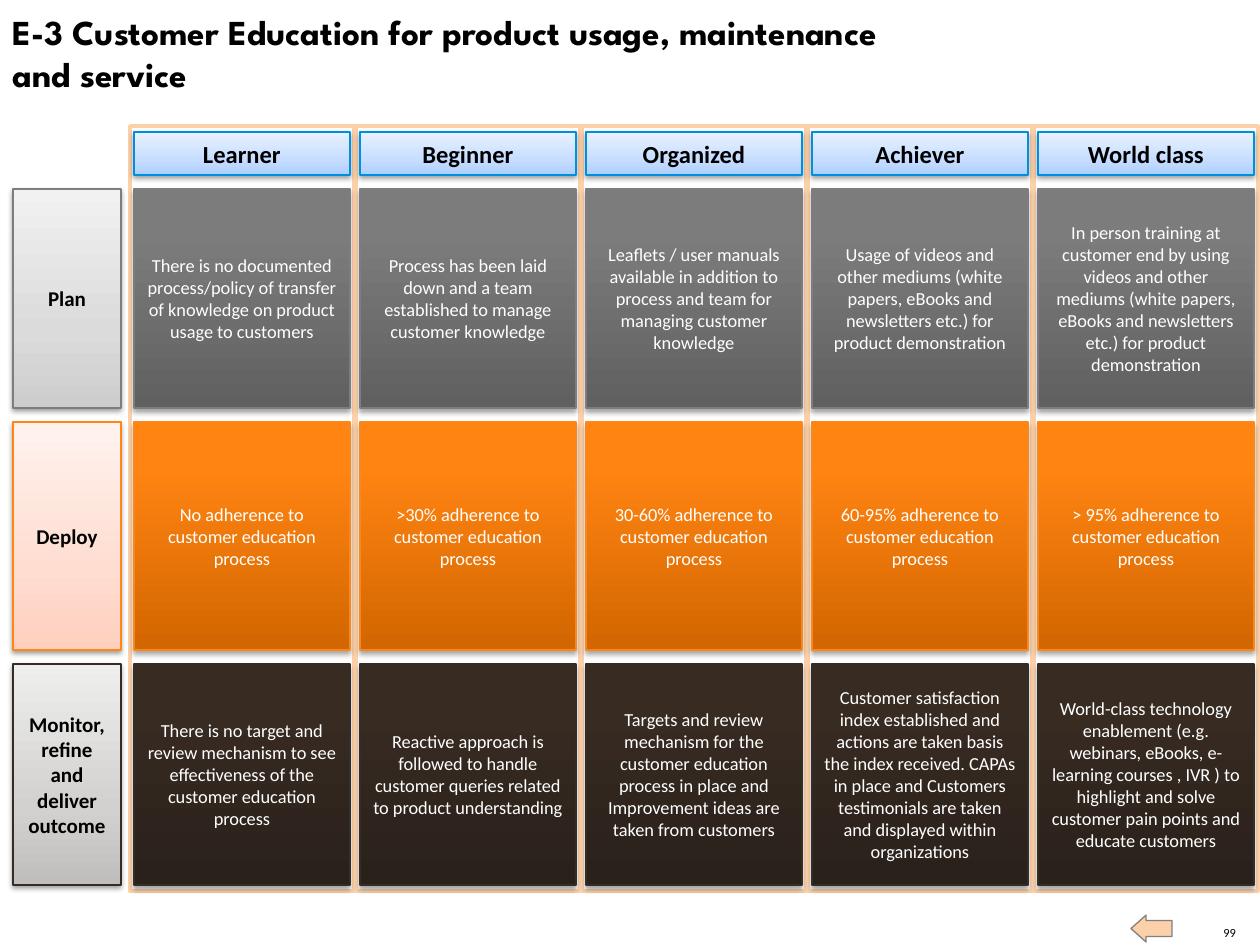
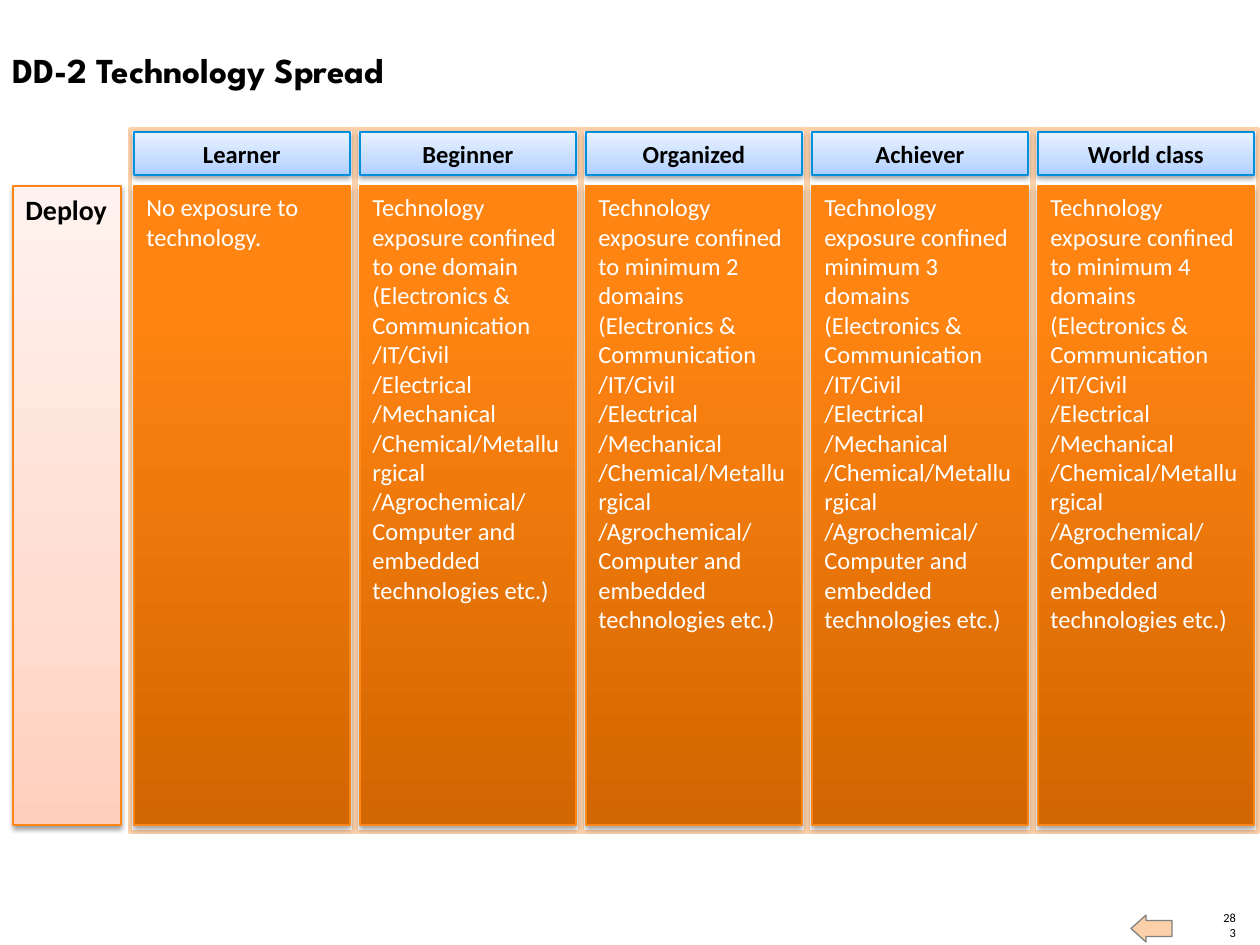
import copy
from dataclasses import dataclass

import lxml.etree
import pptx
import pptx.dml.color
import pptx.enum.shapes
import pptx.enum.text
import pptx.oxml.ns
import pptx.util

EMU_PER_PX = 914400 / 126
PX_PER_INCH = 126

# Shared look
BODY_FONT = "Calibri"
TITLE_FONT = "League Spartan"
BLACK, WHITE, PEACH, GREY = "000000", "FFFFFF", "FCD1AA", "808080"

# Shared column grid
LEVELS = ["Learner", "Beginner", "Organized", "Achiever", "World class"]
COLUMN_PITCH = 226
FRAME_LEFT, FRAME_WIDTH = 130, 224
CARD_LEFT, CARD_WIDTH = 134, 216
LABEL_LEFT, LABEL_WIDTH = 13, 108
HEADER_TOP, HEADER_HEIGHT = 132, 43

Shape = pptx.enum.shapes.MSO_SHAPE
Align = pptx.enum.text.PP_ALIGN
Anchor = pptx.enum.text.MSO_ANCHOR


@dataclass(frozen=True)
class Box:
    left: int
    top: int
    width: int
    height: int


@dataclass(frozen=True)
class TextStyle:
    size: float
    color: str = BLACK
    bold: bool = False
    font: str = BODY_FONT
    align: Align = Align.CENTER
    anchor: Anchor = Anchor.MIDDLE


@dataclass(frozen=True)
class Tile:
    stops: tuple[tuple[int, str], ...]
    line: str
    shadow_alpha: int
    shadow_distance: float


@dataclass(frozen=True)
class Stage:
    name: str
    top: int
    height: int
    label_tile: Tile
    card_tile: Tile
    cards: list[str]


@dataclass(frozen=True)
class MatrixSlide:
    title: str
    title_box: Box
    page: str
    frame_top: int
    frame_height: int
    label_style: TextStyle
    card_style: TextStyle
    stages: list[Stage]


def pale_tile(low: str, middle: str, high: str, line: str) -> Tile:
    return Tile(((0, low), (35, middle), (100, high)), line, 38, 1.6)


def strong_tile(low: str, middle: str, high: str, line: str) -> Tile:
    return Tile(((0, low), (80, middle), (100, high)), line, 35, 1.8)


HEADER_TILE = pale_tile("AECFFF", "C6DDFF", "E9F2FF", "008FDC")
PLAN_TILES = (pale_tile("CDCDCD", "DBDBDB", "F1F1F1", "7D7D7D"),
              strong_tile("606060", "7C7C7C", "7D7D7D", "7D7D7D"))
DEPLOY_TILES = (pale_tile("FFCFBD", "FFDDD1", "FFF2EE", "FF8615"),
                strong_tile("D26600", "FF8412", "FF8514", "FF8615"))
MONITOR_TILES = (pale_tile("C0BEBC", "D3D1D0", "EEEEED", "352C25"),
                 strong_tile("2A211B", "372B22", "372B22", "352C25"))

TITLE_STYLE = TextStyle(20, bold=True, font=TITLE_FONT, align=Align.LEFT, anchor=Anchor.TOP)
HEADER_STYLE = TextStyle(14, bold=True)
PAGE_STYLE = TextStyle(7.1, align=Align.RIGHT, anchor=Anchor.BOTTOM)


def px(length: int) -> pptx.util.Emu:
    return pptx.util.Emu(round(length * EMU_PER_PX))


def rgb(color: str) -> pptx.dml.color.RGBColor:
    return pptx.dml.color.RGBColor.from_string(color)


def place(box: Box) -> list[pptx.util.Emu]:
    return [px(length) for length in (box.left, box.top, box.width, box.height)]


def write(frame, text: str, style: TextStyle) -> None:
    frame.word_wrap = True
    frame.vertical_anchor = style.anchor
    paragraph = frame.paragraphs[0]
    paragraph.text = text
    paragraph.alignment = style.align
    paragraph.font.size = pptx.util.Pt(style.size)
    paragraph.font.name = style.font
    paragraph.font.bold = style.bold
    paragraph.font.color.rgb = rgb(style.color)


def add_text(slide, box: Box, text: str, style: TextStyle):
    frame = slide.shapes.add_textbox(*place(box)).text_frame
    write(frame, text, style)
    return frame


def add_outlined(slide, preset: Shape, box: Box, line: str, weight: float):
    shape = slide.shapes.add_shape(preset, *place(box))
    shape.shadow.inherit = False
    shape.line.color.rgb = rgb(line)
    shape.line.width = pptx.util.Pt(weight)
    return shape


def add_flat(slide, preset: Shape, box: Box, fill: str, line: str, weight: float):
    shape = add_outlined(slide, preset, box, line, weight)
    shape.fill.solid()
    shape.fill.fore_color.rgb = rgb(fill)
    return shape


def add_tile(slide, box: Box, tile: Tile, text: str, style: TextStyle) -> None:
    shape = add_outlined(slide, Shape.RECTANGLE, box, tile.line, 0.75)
    qn = pptx.oxml.ns.qn
    properties = shape._element.spPr

    # Three-stop gradient running upwards
    shape.fill.gradient()
    shape.fill.gradient_angle = 90
    stop_list = properties.find(qn("a:gradFill")).find(qn("a:gsLst"))
    stop_list.append(copy.deepcopy(stop_list[0]))
    for stop, (percent, color) in zip(shape.fill.gradient_stops, tile.stops):
        stop.position = percent / 100
        stop.color.rgb = rgb(color)

    # Soft shadow below
    shadow = lxml.etree.SubElement(
        properties.find(qn("a:effectLst")), qn("a:outerShdw"),
        blurRad=str(pptx.util.Pt(3.1)), dist=str(pptx.util.Pt(tile.shadow_distance)),
        dir="5400000", rotWithShape="0")
    tint = lxml.etree.SubElement(shadow, qn("a:srgbClr"), val=BLACK)
    lxml.etree.SubElement(tint, qn("a:alpha"), val=str(tile.shadow_alpha * 1000))

    write(shape.text_frame, text, style)


def add_footer(slide, page: str) -> None:
    number = add_text(slide, Box(1221, 925, 15, 15), page, PAGE_STYLE)
    number.margin_left = number.margin_right = number.margin_top = number.margin_bottom = 0
    back_arrow = add_flat(slide, Shape.RIGHT_ARROW, Box(1131, 915, 41, 27), PEACH, GREY, 0.75)
    back_arrow.rotation = 180
    back_arrow.adjustments[0] = 0.59
    back_arrow.adjustments[1] = 0.56


def add_matrix_slide(deck, matrix: MatrixSlide) -> None:
    slide = deck.slides.add_slide(deck.slide_layouts[6])
    add_footer(slide, matrix.page)
    add_text(slide, matrix.title_box, matrix.title, TITLE_STYLE)

    # Stage labels down the left
    for stage in matrix.stages:
        add_tile(slide, Box(LABEL_LEFT, stage.top, LABEL_WIDTH, stage.height),
                 stage.label_tile, stage.name, matrix.label_style)

    # Column frames behind everything in the grid
    for column in range(len(LEVELS)):
        add_flat(slide, Shape.RECTANGLE,
                 Box(FRAME_LEFT + column * COLUMN_PITCH, matrix.frame_top,
                     FRAME_WIDTH, matrix.frame_height), WHITE, PEACH, 2)

    # Level headers and stage cards
    for column, level in enumerate(LEVELS):
        left = CARD_LEFT + column * COLUMN_PITCH
        for stage in matrix.stages:
            add_tile(slide, Box(left, stage.top, CARD_WIDTH, stage.height),
                     stage.card_tile, stage.cards[column], matrix.card_style)
        add_tile(slide, Box(left, HEADER_TOP, CARD_WIDTH, HEADER_HEIGHT),
                 HEADER_TILE, level, HEADER_STYLE)


# Customer education content
ADHERENCE = ["No", ">30%", "30-60%", "60-95%", "> 95%"]
CUSTOMER_EDUCATION = MatrixSlide(
    title="E-3 Customer Education for product usage, maintenance and service",
    title_box=Box(0, 4, 935, 97),
    page="99",
    frame_top=126,
    frame_height=765,
    label_style=TextStyle(12, bold=True),
    card_style=TextStyle(10.5, WHITE),
    stages=[
        Stage("Plan", 189, 219, *PLAN_TILES, [
            "There is no documented process/policy of transfer of knowledge on product "
            "usage to customers",
            "Process has been laid down and a team established to manage customer knowledge",
            "Leaflets / user manuals available in addition to process and team for managing "
            "customer knowledge",
            "Usage of videos and other mediums (white papers, eBooks and newsletters etc.) "
            "for product demonstration",
            "In person training at customer end by using videos and other mediums (white "
            "papers, eBooks and newsletters etc.) for product demonstration",
        ]),
        Stage("Deploy", 422, 228, *DEPLOY_TILES,
              [f"{share} adherence to customer education process" for share in ADHERENCE]),
        Stage("Monitor, refine and deliver outcome", 664, 221, *MONITOR_TILES, [
            "There is no target and review mechanism to see effectiveness of the customer "
            "education process",
            "Reactive approach is followed to handle customer queries related to product "
            "understanding",
            "Targets and review mechanism for the customer education process in place and "
            "Improvement ideas are taken from customers",
            "Customer satisfaction index established and actions are taken basis the index "
            "received. CAPAs in place and Customers testimonials are taken and displayed "
            "within organizations",
            "World-class technology enablement (e.g. webinars, eBooks, e-learning courses , "
            "IVR ) to highlight and solve customer pain points and educate customers",
        ]),
    ],
)

# Technology spread content
DOMAIN_REACH = ["to one domain", "to minimum 2 domains", "minimum 3 domains",
                "to minimum 4 domains"]
DOMAINS = ("(Electronics & Communication /IT/Civil /Electrical /Mechanical "
           "/Chemical/Metallurgical /Agrochemical/ Computer and embedded technologies etc.)")
TECHNOLOGY_SPREAD = MatrixSlide(
    title="DD-2 Technology Spread",
    title_box=Box(0, 42, 1084, 55),
    page="283",
    frame_top=129,
    frame_height=703,
    label_style=TextStyle(16, bold=True, align=Align.LEFT, anchor=Anchor.TOP),
    card_style=TextStyle(14, WHITE, align=Align.LEFT, anchor=Anchor.TOP),
    stages=[
        Stage("Deploy", 186, 639, *DEPLOY_TILES,
              ["No exposure to technology."]
              + [f"Technology exposure confined {reach} {DOMAINS}" for reach in DOMAIN_REACH]),
    ],
)


def main() -> None:
    deck = pptx.Presentation()
    deck.slide_width = px(10 * PX_PER_INCH)
    deck.slide_height = px(945)
    for matrix in (CUSTOMER_EDUCATION, TECHNOLOGY_SPREAD):
        add_matrix_slide(deck, matrix)
    deck.save("out.pptx")


if __name__ == "__main__":
    main()
